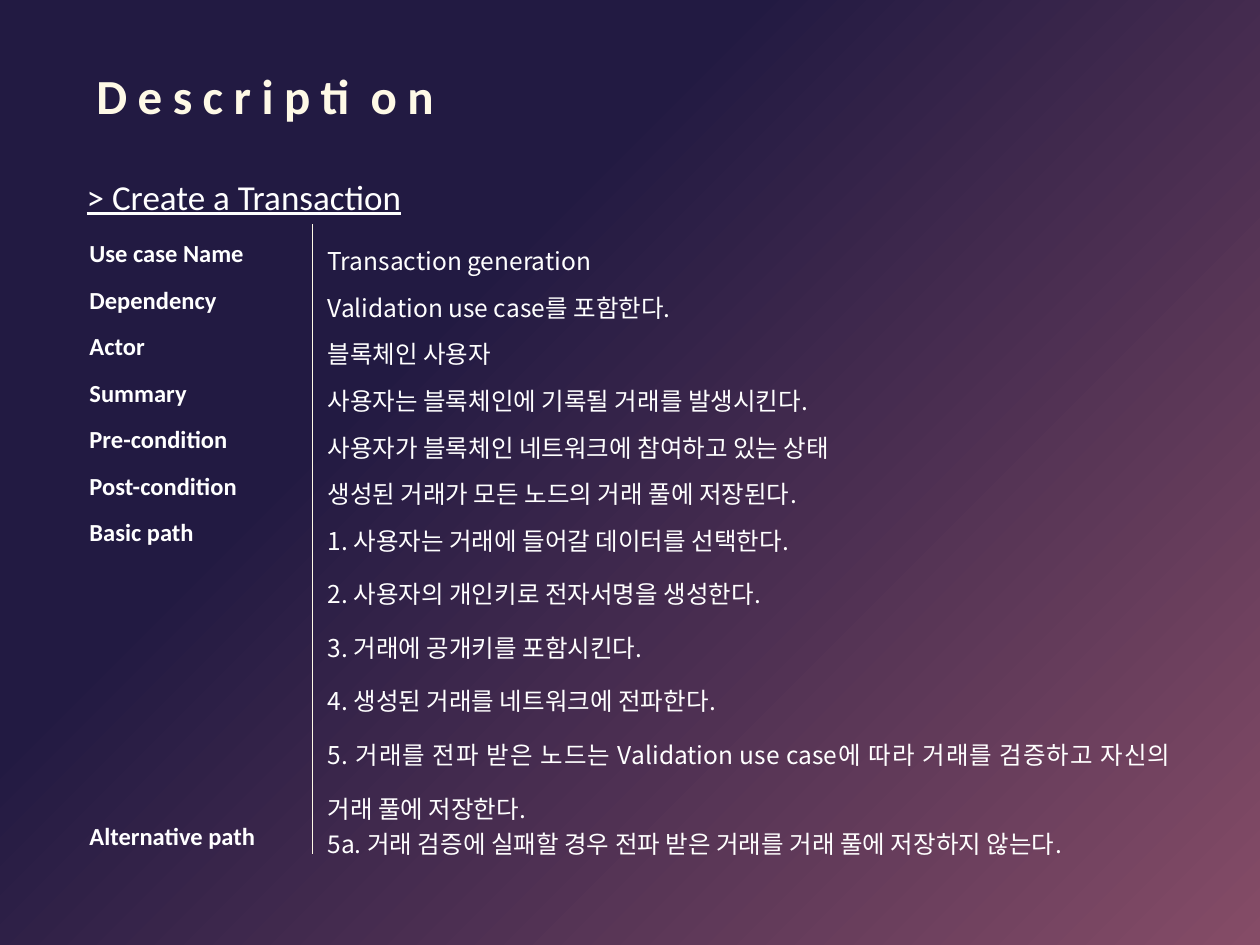
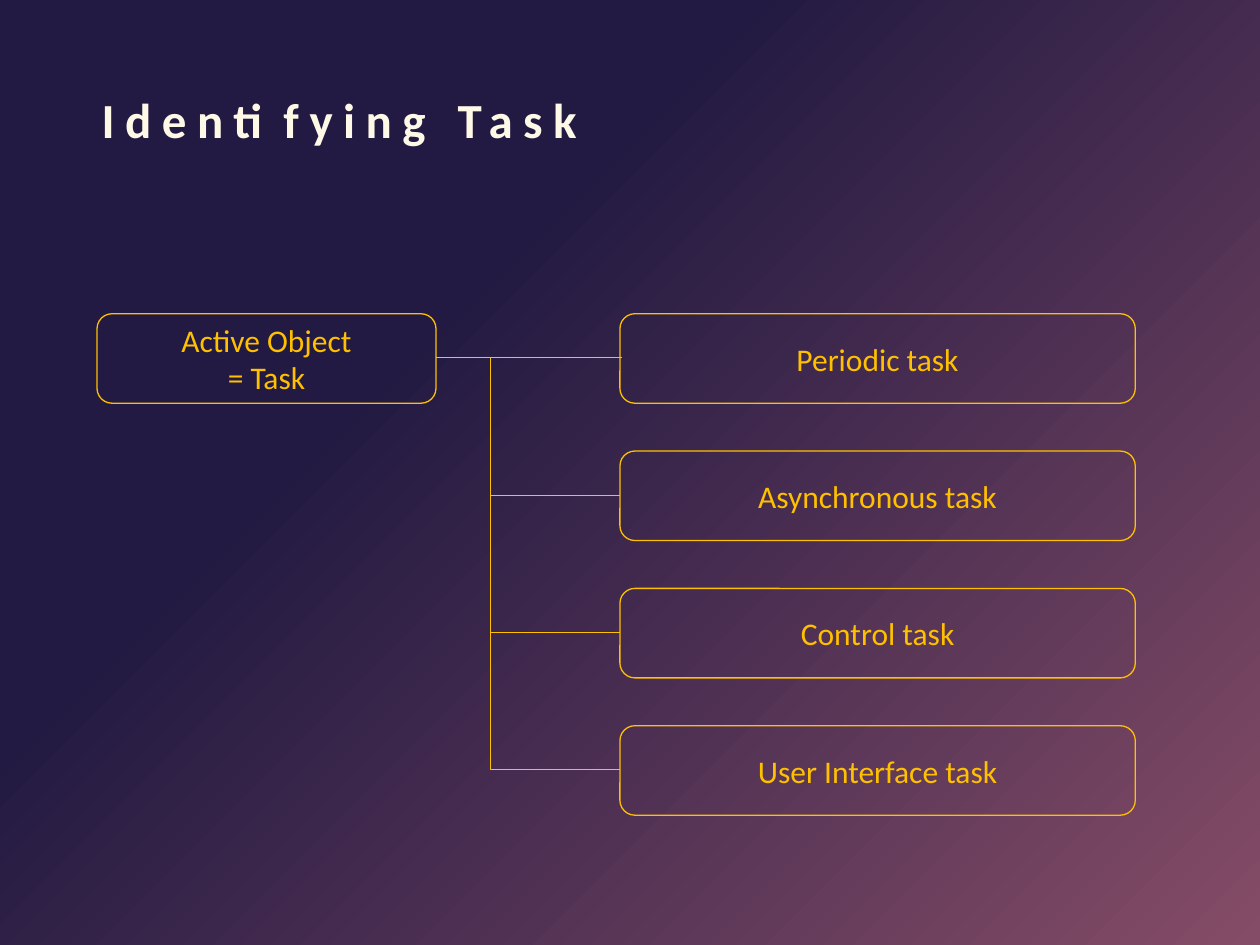
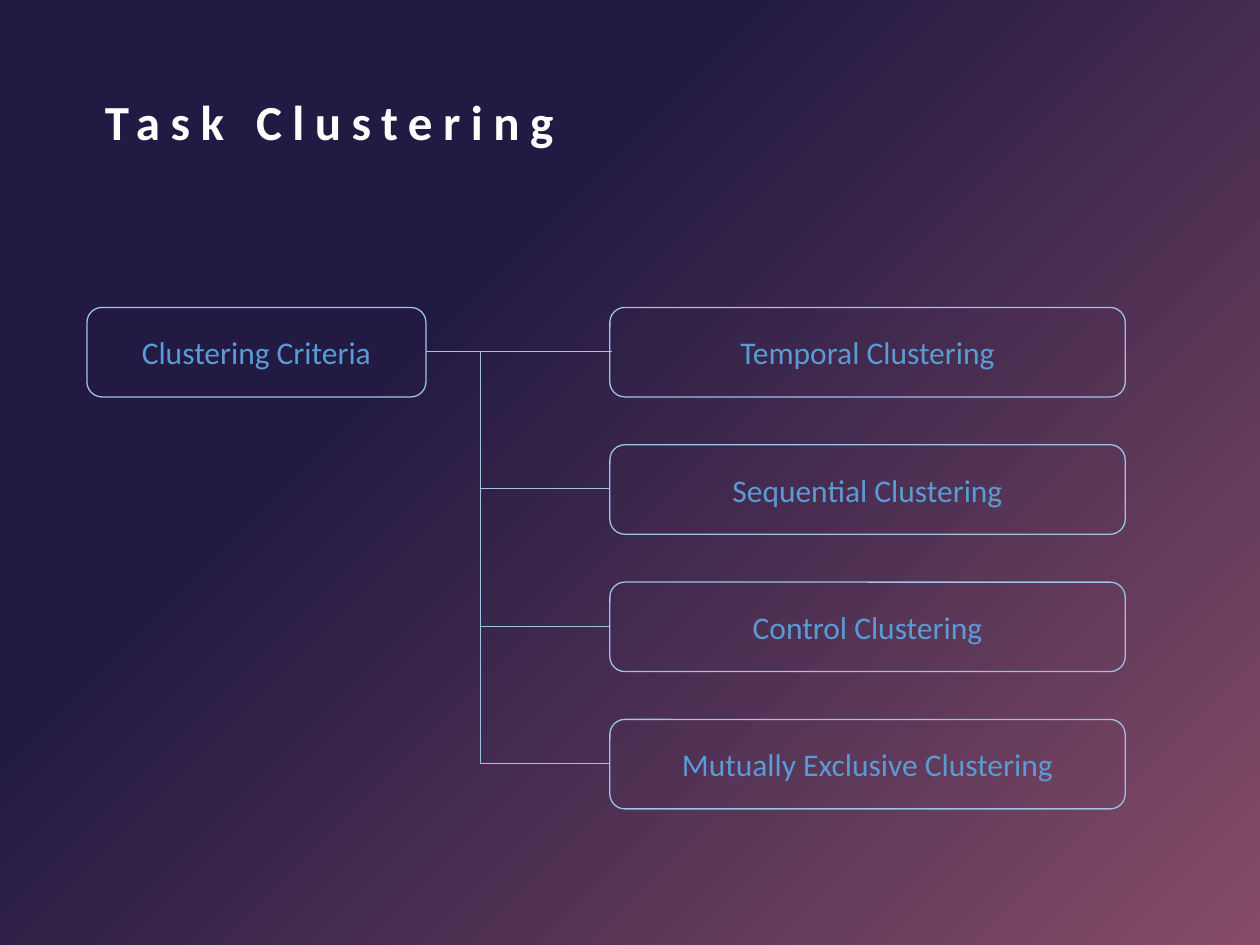
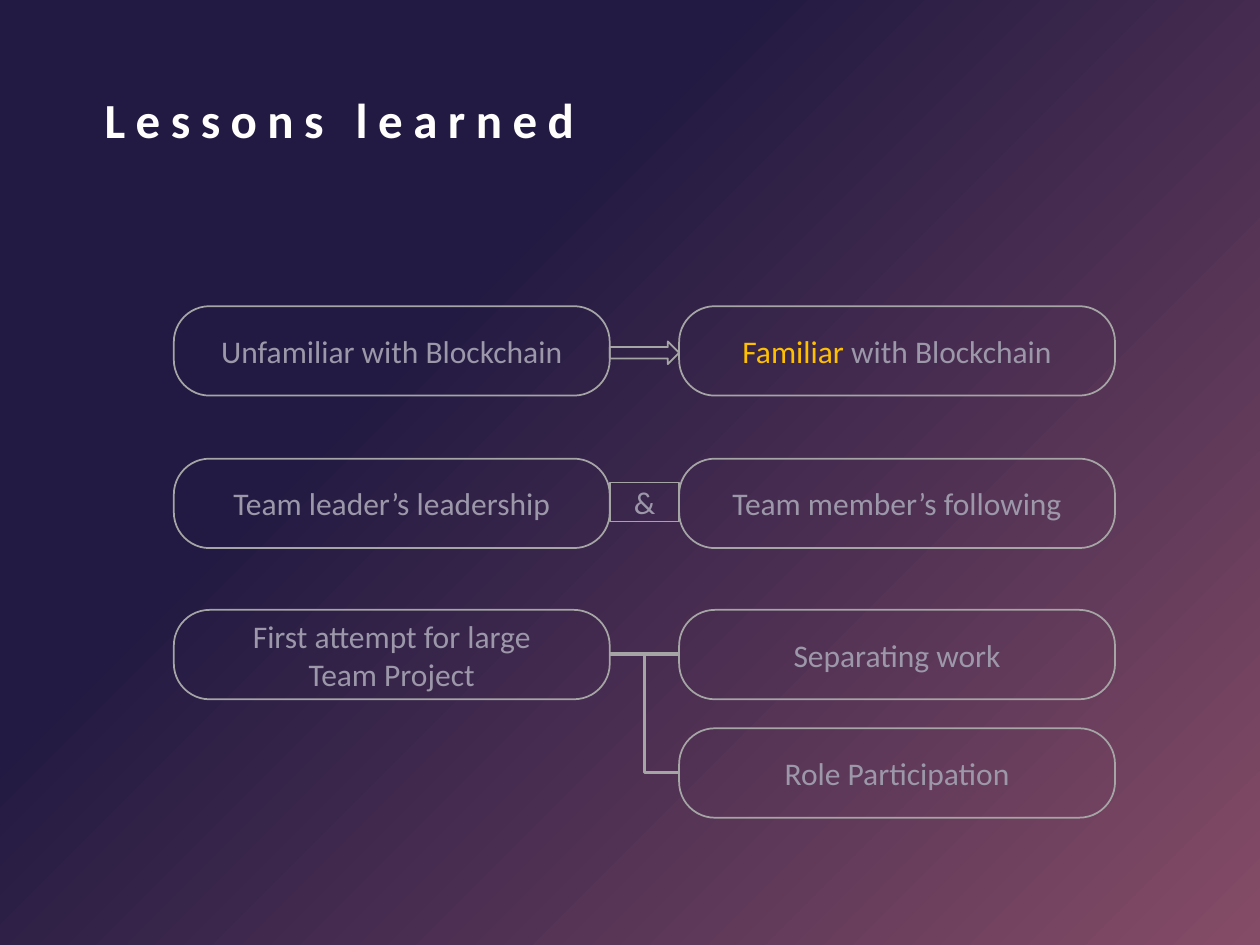
"""Builds four slides on use cases, tasks and lessons learned."""
from lxml import etree
from pptx import Presentation
from pptx.dml.color import RGBColor
from pptx.enum.shapes import MSO_CONNECTOR, MSO_SHAPE
from pptx.enum.text import MSO_ANCHOR, MSO_AUTO_SIZE, PP_ALIGN
from pptx.oxml.ns import qn
from pptx.util import Inches, Pt

ROUND, RECT, ARROW = MSO_SHAPE.ROUNDED_RECTANGLE, MSO_SHAPE.RECTANGLE, MSO_SHAPE.RIGHT_ARROW
LINE, BENT = MSO_CONNECTOR.STRAIGHT, MSO_CONNECTOR.ELBOW
MIDDLE = MSO_ANCHOR.MIDDLE
FIXED, GROW = MSO_AUTO_SIZE.NONE, MSO_AUTO_SIZE.SHAPE_TO_FIT_TEXT
LEFT, CENTER, JUSTIFY = PP_ALIGN.LEFT, PP_ALIGN.CENTER, PP_ALIGN.JUSTIFY
LATIN, HANGUL = "Calibri", "Noto Sans CJK KR"
CREAM, IVORY, WHITE = "FEF9E6", "FFFEFC", "FFFFFF"
GOLD, SKY, BLUE, GRAY, MIST = "FFC000", "9DC3E6", "5B9BD5", "A5A5A5", "9C98AA"
BARE = "{2D5ABB26-0587-4C30-8999-92F81FD0307C}"


def paint(hue):
    """Return the colour of a hex string."""
    return RGBColor.from_string(hue)


def write(para, text, size, hue, face=LATIN, bold=False):
    """Add one run to a paragraph and return it."""
    run = para.add_run()
    run.text = text
    font = run.font
    font.size, font.bold, font.name = Pt(size), bold, face
    font.color.rgb = paint(hue)
    etree.SubElement(font._element, qn("a:ea")).set("typeface", face)
    return run


deck = Presentation()
deck.slide_width, deck.slide_height = Inches(10), Inches(7.5)
fill = deck.slide_master.background.fill
fill.gradient()
fill.gradient_angle = 315
for stop, place, hue in zip(fill.gradient_stops, (0.34, 1), ("221A42", "854C67")):
    stop.position = place
    stop.color.rgb = paint(hue)

titles = [
    ("Description", -0.71, 0.44, 0.9, 0.1, 0.05, CREAM),
    ("Identifying Task", -0.12, 0.63, 0.9, 0.1, 0.05, CREAM),
    ("Task Clustering", -0.2, 0.39, 2, 0.2, 0.16, IVORY),
    ("Lessons learned", -0.12, 0.37, 2, 0.2, 0.16, IVORY),
]
slides = []
for text, x, y, lead, side, edge, hue in titles:
    slide = deck.slides.add_slide(deck.slide_layouts[5])
    slides.append(slide)
    title = slide.shapes.title
    title.left, title.top, title.width, title.height = map(Inches, (x, y, 5.63, 0.68))
    frame = title.text_frame
    frame.auto_size, frame.word_wrap, frame.vertical_anchor = FIXED, True, MIDDLE
    frame.margin_left = frame.margin_right = Inches(side)
    frame.margin_top = frame.margin_bottom = Inches(edge)
    para = frame.paragraphs[0]
    para.alignment, para.line_spacing = CENTER, lead
    run = write(para, text, 28, hue, bold=True)
    run.font._element.set("spc", "600")

case, task, group, lesson = slides

head = case.shapes.add_textbox(*map(Inches, (0.59, 1.34, 3.03, 0.44)))
frame = head.text_frame
frame.word_wrap, frame.auto_size = False, GROW
run = write(frame.paragraphs[0], "> Create a Transaction", 20, WHITE)
run.font.underline = True

rows = [
    ("Use case Name", LEFT, ["Transaction generation"]),
    ("Dependency", LEFT, ["Validation use case를 포함한다."]),
    ("Actor", LEFT, ["블록체인 사용자"]),
    ("Summary", JUSTIFY, ["사용자는 블록체인에 기록될 거래를 발생시킨다."]),
    ("Pre-condition", JUSTIFY, ["사용자가 블록체인 네트워크에 참여하고 있는 상태"]),
    ("Post-condition", JUSTIFY, ["생성된 거래가 모든 노드의 거래 풀에 저장된다."]),
    ("Basic path", JUSTIFY, [
        "1. 사용자는 거래에 들어갈 데이터를 선택한다.",
        "2. 사용자의 개인키로 전자서명을 생성한다.",
        "3. 거래에 공개키를 포함시킨다.",
        "4. 생성된 거래를 네트워크에 전파한다.",
        "5. 거래를 전파 받은 노드는 Validation use case에 따라 거래를 검증하고 "
        "자신의 거래 풀에 저장한다.",
    ]),
    ("Alternative path", JUSTIFY,
     ["5a. 거래 검증에 실패할 경우 전파 받은 거래를 거래 풀에 저장하지 않는다."]),
]
table = case.shapes.add_table(len(rows), 2, *map(Inches, (0.59, 1.78, 8.82, 5.03))).table
table.first_row = table.horz_banding = False
table._tbl.tblPr.find(qn("a:tableStyleId")).text = BARE
table.columns[0].width, table.columns[1].width = Inches(1.89), Inches(6.93)
for r, (name, align, lines) in enumerate(rows):
    table.rows[r].height = Inches(2.41 if len(lines) > 1 else 0.37)
    sides = [([name], LEFT, LATIN, True, "a:lnR"), (lines, align, HANGUL, False, "a:lnL")]
    for c, (texts, flow, face, bold, rule) in enumerate(sides):
        cell = table.cell(r, c)
        cell.fill.background()
        cell.margin_left = cell.margin_right = Inches(0.12)
        cell.margin_top = cell.margin_bottom = 0
        frame = cell.text_frame
        for i, text in enumerate(texts):
            para = frame.add_paragraph() if i else frame.paragraphs[0]
            para.alignment, para.line_spacing = flow, 1.5
            write(para, text, 14, WHITE, face, bold)
        border = etree.Element(qn(rule), w=str(Pt(1)))
        solid = etree.SubElement(border, qn("a:solidFill"))
        etree.SubElement(solid, qn("a:srgbClr"), val=CREAM)
        cell._tc.get_or_add_tcPr().insert(0, border)

boxes, links = [], []
tall, mid = 0.71, 0.35

trees = [
    (task, 0.77, 2.49, GOLD, GOLD, ["Active Object", "= Task"],
     ["Periodic task", "Asynchronous task", "Control task", "User Interface task"]),
    (group, 0.69, 2.44, SKY, BLUE, ["Clustering Criteria"],
     ["Temporal Clustering", "Sequential Clustering", "Control Clustering",
      "Mutually Exclusive Clustering"]),
]
wide, trunk, leaf, step = 2.69, 3.13, 4.15, 1.09
for slide, x, y, edge, ink, root, leaves in trees:
    boxes.append((slide, ROUND, x, y, wide, tall, edge, 0.75, ink, root))
    for i, text in enumerate(leaves):
        boxes.append((slide, ROUND, x + leaf, y + i * step, 4.09, tall, edge, 0.75, ink, [text]))
    base = y + mid
    links.append((slide, BENT, x + leaf, base, x + leaf + 0.02, base + 3 * step, edge, 0.5, True))
    links.append((slide, LINE, x + wide, base, x + leaf, base, edge, 0.5, False))
    for i in (1, 2):
        spot = base + i * step
        links.append((slide, LINE, x + leaf, spot, x + trunk, spot, edge, 0.5, False))

cols, wide = (1.38, 5.39), 3.46
gap = cols[0] + wide
tiers = (2.43, 3.64, 4.84, 5.78)
notes = [
    (0, 0, ["Unfamiliar with Blockchain"]), (1, 0, ["Familiar| with Blockchain"]),
    (0, 1, ["Team leader’s leadership"]), (1, 1, ["Team member’s following"]),
    (0, 2, ["First attempt for large", "Team Project"]), (1, 2, ["Separating work"]),
    (1, 3, ["Role Participation"]),
]
for c, r, lines in notes:
    boxes.append((lesson, ROUND, cols[c], tiers[r], wide, tall, GRAY, 1, MIST, lines))
boxes.append((lesson, RECT, gap, 3.83, 0.55, 0.31, GRAY, 1, MIST, ["&"]))
boxes.append((lesson, ARROW, gap, 2.71, 0.55, 0.18, GRAY, 1, MIST, []))
fork = tiers[2] + mid
links.append((lesson, LINE, gap, fork, cols[1], fork, GRAY, 2, False))
links.append((lesson, BENT, gap, fork, cols[1], tiers[3] + mid, GRAY, 2, False))

for slide, kind, x, y, w, h, edge, weight, ink, lines in boxes:
    shape = slide.shapes.add_shape(kind, *map(Inches, (x, y, w, h)))
    shape.shadow.inherit = False
    shape.fill.background()
    shape.line.color.rgb, shape.line.width = paint(edge), Pt(weight)
    if slide is lesson and kind == ROUND:
        shape.adjustments[0] = 0.4
    frame = shape.text_frame
    frame.vertical_anchor = MIDDLE
    for i, text in enumerate(lines):
        para = frame.add_paragraph() if i else frame.paragraphs[0]
        para.alignment = CENTER
        bits = text.split("|")
        for bit in bits:
            write(para, bit, 18, ink if bit is bits[-1] else GOLD)

for slide, kind, x, y, right, low, edge, weight, back in links:
    link = slide.shapes.add_connector(kind, *map(Inches, (x, y, right, low)))
    link.line.color.rgb, link.line.width = paint(edge), Pt(weight)
    props = link._element.spPr
    etree.SubElement(props, qn("a:effectLst"))
    if back:
        turn = props.find(qn("a:xfrm"))
        turn.set("rot", "10800000")
        turn.set("flipV", "1")
        guides = props.find(qn("a:prstGeom")).find(qn("a:avLst"))
        etree.SubElement(guides, qn("a:gd"), name="adj1", fmla="val 5200000")

deck.save("out.pptx")
